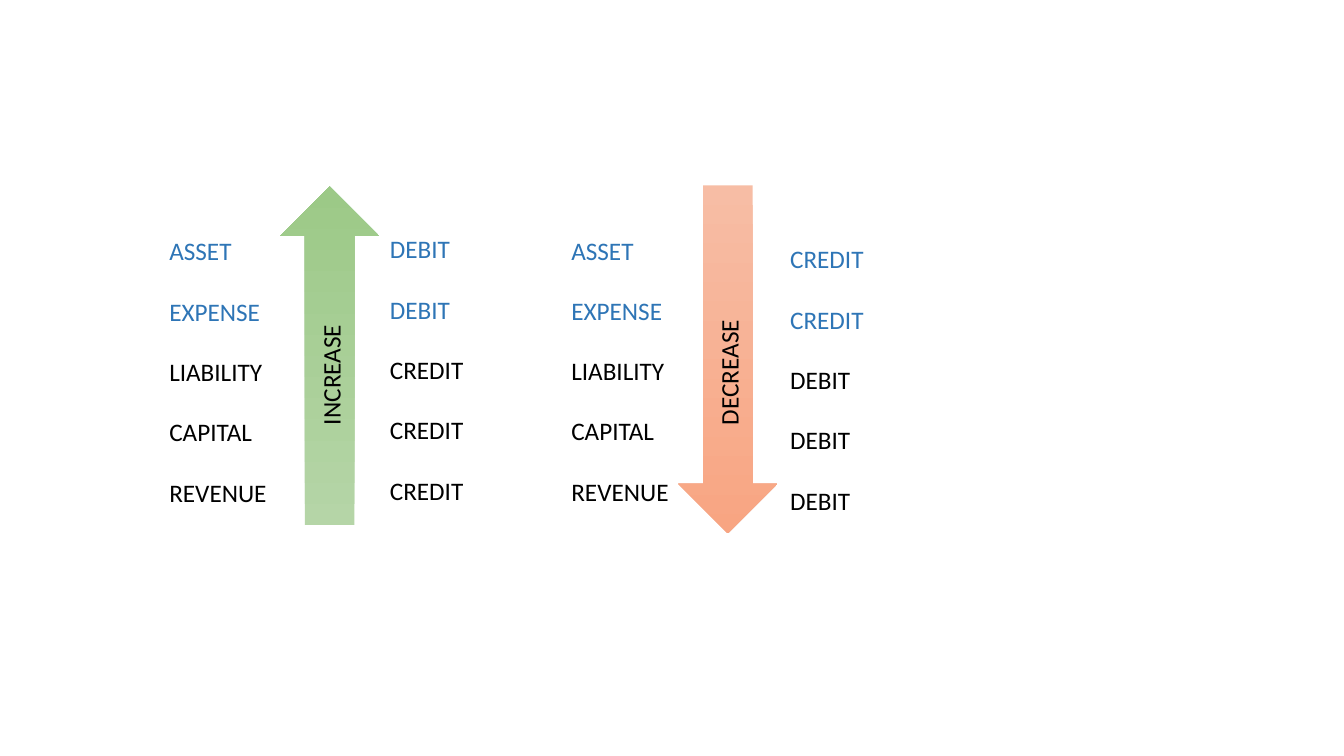
from pptx import Presentation
from pptx.dml.color import RGBColor
from pptx.enum import shapes, text
from pptx.util import Pt

BLUE = RGBColor(0x2E, 0x75, 0xB6)
BLACK = RGBColor(0, 0, 0)
GREENS = RGBColor(0xB5, 0xD5, 0xA7), RGBColor(0x9C, 0xC9, 0x87)
ORANGES = RGBColor(0xF7, 0xBD, 0xA5), RGBColor(0xF8, 0xA5, 0x82)
ACCOUNTS = ["ASSET", "EXPENSE", "LIABILITY", "CAPITAL", "REVENUE"]
BLUE_ROWS = 2


def add_text(slide, box, lines, colors, gap=0):
    """Add a text box with one coloured paragraph per line."""
    shape = slide.shapes.add_textbox(*map(Pt, box))
    frame = shape.text_frame
    frame.word_wrap = True
    frame.auto_size = text.MSO_AUTO_SIZE.NONE
    frame.text = "\n".join(lines)
    for index, (paragraph, color) in enumerate(zip(frame.paragraphs, colors)):
        paragraph.font.name = "Calibri"
        paragraph.font.size = Pt(18)
        paragraph.font.color.rgb = color
        paragraph.space_before = Pt(gap if index else 0)
    return shape


def add_column(slide, left, top, lines):
    """Add a column of five entries, the first ones in blue."""
    colors = [BLUE] * BLUE_ROWS + [BLACK] * (len(lines) - BLUE_ROWS)
    add_text(slide, (left, top, 85, 225.4), lines, colors, gap=21.5)


def add_arrow(slide, box, colors, rotation, label):
    """Add a gradient block arrow with a label that reads upwards."""
    arrow = slide.shapes.add_shape(shapes.MSO_SHAPE.DOWN_ARROW, *map(Pt, box))
    arrow.rotation = rotation
    arrow.shadow.inherit = False
    arrow.line.fill.background()
    arrow.fill.gradient()
    arrow.fill.gradient_angle = 270
    for stop, color in zip(arrow.fill.gradient_stops, colors):
        stop.color.rgb = color
    left, _, width, _ = box
    label_width, label_height = 94.3, 28.8
    label_left = left + (width - label_width) / 2 + 0.6
    caption = add_text(slide, (label_left, 249.1, label_width, label_height),
                       [label], [BLACK])
    caption.rotation = 270


def add_panel(slide, box, arrow, effects, effect_offset):
    """Add accounts, an arrow and their effects, relative to the box."""
    left, top, width, height = box
    offset, colors, rotation, label = arrow
    add_arrow(slide, (left + offset, top, 70.6, height), colors, rotation, label)
    add_column(slide, left, top + 31.7, ACCOUNTS)
    add_column(slide, left + width - 85, top + effect_offset, effects)


def main():
    """Build the slide and save it."""
    presentation = Presentation()
    presentation.slide_width, presentation.slide_height = Pt(960), Pt(540)
    slide = presentation.slides.add_slide(presentation.slide_layouts[6])
    add_panel(slide, (113.8, 133.2, 242.6, 241.9),
              (86.4, GREENS, 180, "INCREASE"),
              ["DEBIT"] * 2 + ["CREDIT"] * 3, 30.2)
    add_panel(slide, (401, 132.5, 241.3, 248.4),
              (83.6, ORANGES, 0, "DECREASE"),
              ["CREDIT"] * 2 + ["DEBIT"] * 3, 38.1)
    presentation.save("out.pptx")


main()
